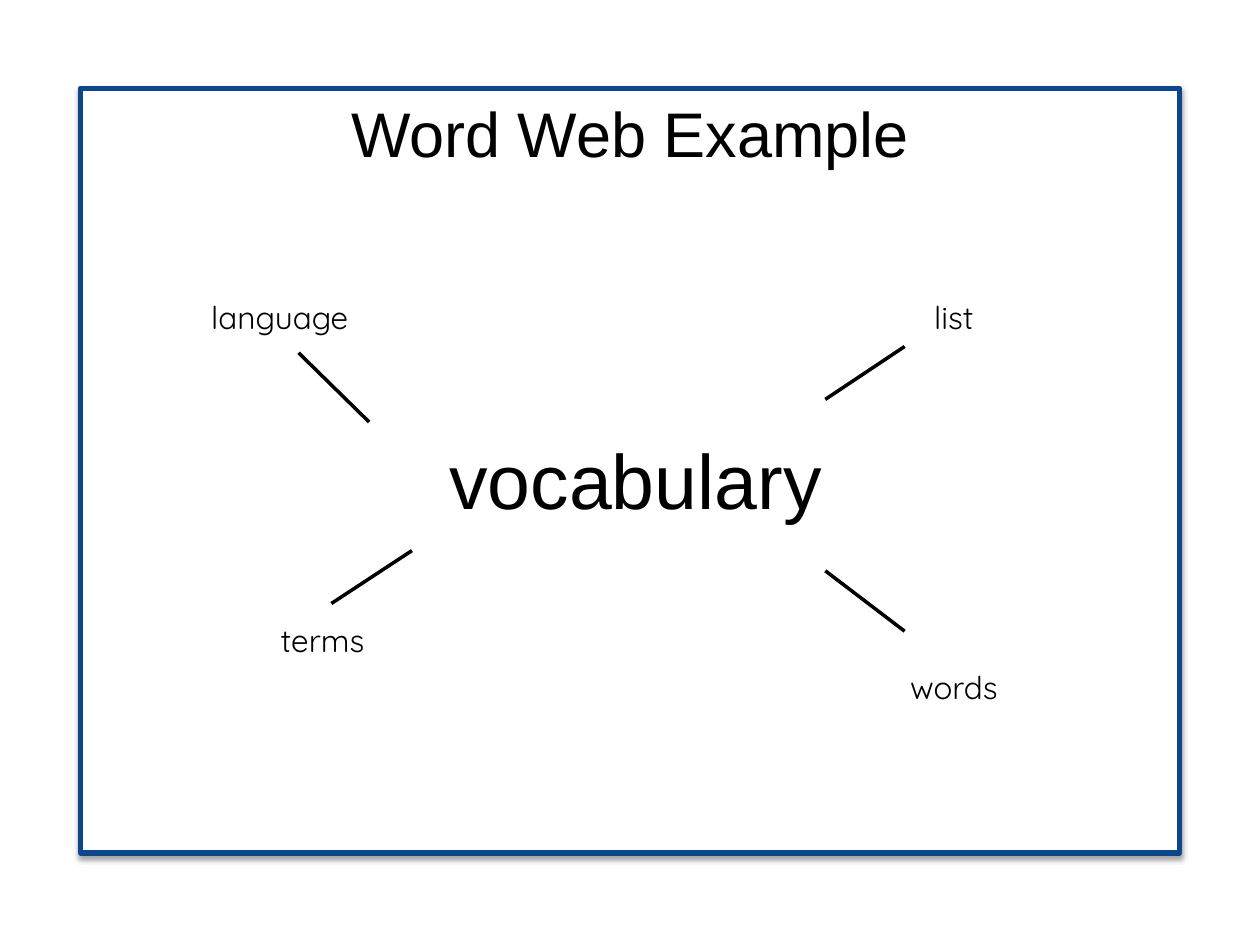
from lxml.etree import SubElement
from pptx import Presentation
from pptx.dml.color import RGBColor
from pptx.enum.shapes import MSO_CONNECTOR as Connector, MSO_SHAPE as Shape
from pptx.enum.text import MSO_AUTO_SIZE as AutoSize, PP_ALIGN as Align
from pptx.oxml.ns import qn
from pptx.util import Inches, Pt

BLACK, WHITE, BLUE = "000000", "FFFFFF", "0E468B"
TITLE = {"name": "Arial", "size": Pt(36)}
CENTER_WORD = {"name": "Arial", "size": Pt(44)}
BRANCH_WORD = {"name": "Quicksand", "size": Pt(18)}

# Branch words: left and top of the label, then the spoke's start and end,
# all measured in inches from the frame's corner
BRANCHES = [
    ("list", (6.22, 1.62), (5.91, 2.47), (6.54, 2.05)),
    ("terms", (1.21, 4.18), (1.99, 4.09), (2.63, 3.67)),
    ("words", (6.22, 4.55), (5.91, 3.83), (6.54, 4.31)),
    ("language", (0.87, 1.62), (2.29, 2.65), (1.73, 2.10)),
]


def color(hex_value):
    return RGBColor.from_string(hex_value)


def add_label(slide, text, left, top, width, height, font_format):
    box = slide.shapes.add_textbox(*map(Inches, (left, top, width, height)))
    frame = box.text_frame
    frame.word_wrap = True
    frame.auto_size = AutoSize.SHAPE_TO_FIT_TEXT
    paragraph = frame.paragraphs[0]
    paragraph.alignment = Align.CENTER
    run = paragraph.add_run()
    run.text = text
    for name, value in font_format.items():
        setattr(run.font, name, value)
    run.font.color.rgb = color(BLACK)


def add_spoke(slide, start, end):
    spoke = slide.shapes.add_connector(Connector.STRAIGHT, *map(Inches, start + end))
    spoke.line.color.rgb = color(BLACK)
    spoke.line.width = Pt(2)
    SubElement(spoke._element.spPr, qn("a:effectLst"))


def add_frame(slide, left, top, width, height):
    frame = slide.shapes.add_shape(
        Shape.RECTANGLE, *map(Inches, (left, top, width, height)))
    frame.fill.solid()
    frame.fill.fore_color.rgb = color(WHITE)
    frame.line.color.rgb = color(BLUE)
    frame.line.width = Pt(3)
    # Soft shadow straight below the frame
    frame.shadow.inherit = False
    effects = frame._element.spPr.find(qn("a:effectLst"))
    shadow = SubElement(effects, qn("a:outerShdw"), blurRad=str(Pt(3.1)),
                        dist=str(Pt(1.8)), dir="5400000", rotWithShape="0")
    shade = SubElement(shadow, qn("a:srgbClr"), val=BLACK)
    SubElement(shade, qn("a:alpha"), val="35000")


def add_word_web(slide, left, top, width, height):
    add_frame(slide, left, top, width, height)
    add_label(slide, "Word Web Example", left, top, width, 0.71, TITLE)
    add_label(slide, "vocabulary", left + 2.29, top + 2.68, 4.23, 0.84, CENTER_WORD)

    # Spokes and the words around the centre
    for word, label, start, end in BRANCHES:
        add_spoke(slide, (left + start[0], top + start[1]),
                  (left + end[0], top + end[1]))
        add_label(slide, word, left + label[0], top + label[1], 1.42, 0.4, BRANCH_WORD)


def main():
    presentation = Presentation()
    presentation.slide_width = Inches(10)
    presentation.slide_height = Inches(7.5)
    slide = presentation.slides.add_slide(presentation.slide_layouts[6])
    add_word_web(slide, 0.64, 0.7, 8.72, 6.07)
    presentation.save("out.pptx")


if __name__ == "__main__":
    main()
